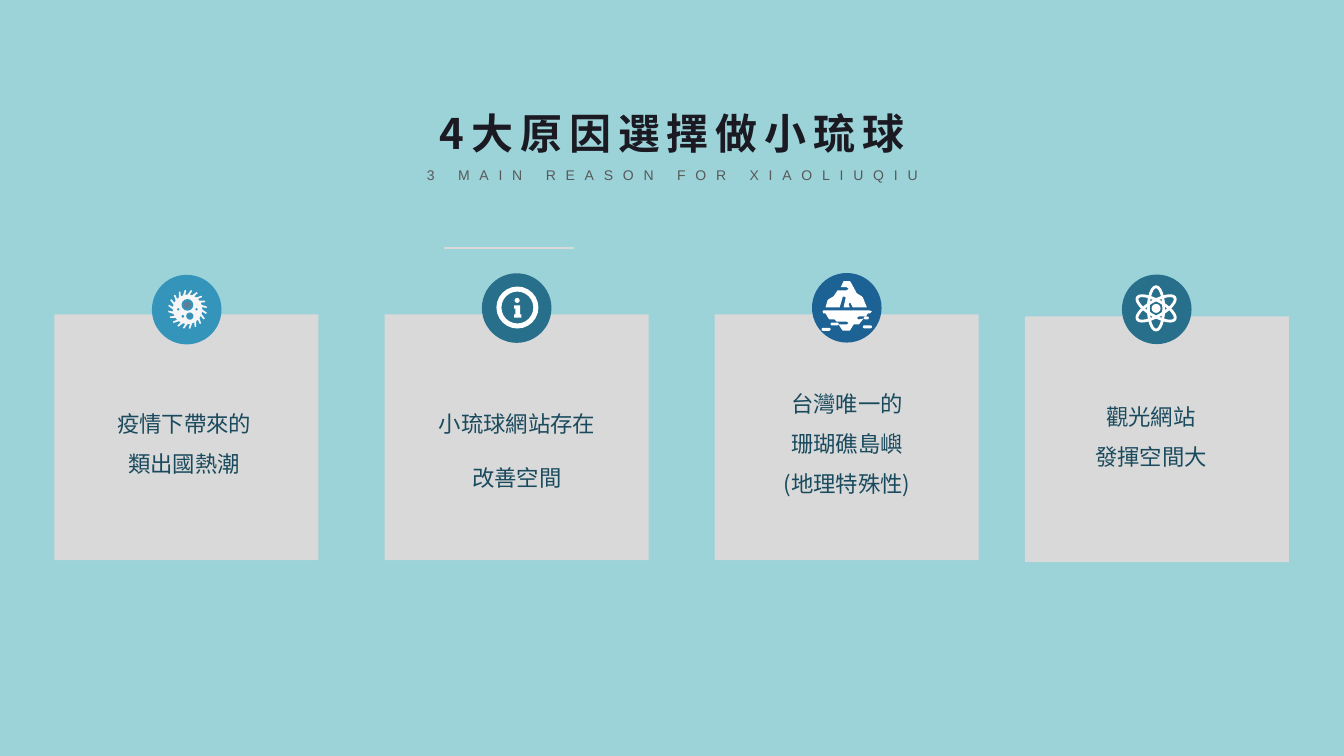
"""Build the slide giving four reasons for choosing Xiaoliuqiu."""
from math import cos, radians, sin

from lxml import etree
from pptx import Presentation
from pptx import util as u
from pptx.dml.color import RGBColor
from pptx.enum import shapes, text
from pptx.oxml import ns

Pt = u.Pt
KIND = shapes.MSO_SHAPE
CJK = "Noto Sans CJK SC"

presentation = Presentation()
presentation.slide_width, presentation.slide_height = Pt(960), Pt(540)
slide = presentation.slides.add_slide(presentation.slide_layouts[0])
slide.background.fill.solid()
slide.background.fill.fore_color.rgb = RGBColor.from_string("9BD3D9")


def draw(kind, box, color):
    """Add a plain filled shape; kind is a preset or a list of outline points."""
    if isinstance(kind, list):
        points = [(Pt(x), Pt(y)) for x, y in kind]
        builder = slide.shapes.build_freeform(*points[0])
        builder.add_line_segments(points[1:], close=True)
        shape = builder.convert_to_shape()
    else:
        shape = slide.shapes.add_shape(kind, *[Pt(value) for value in box])
    shape.shadow.inherit = False
    shape.line.fill.background()
    shape.fill.solid()
    shape.fill.fore_color.rgb = RGBColor.from_string(color)
    return shape


def write(shape, box, words, size, font, color, bold=False, tracking=0, spacing=1.0):
    """Place a text shape and fill it with centred, formatted text."""
    shape.left, shape.top, shape.width, shape.height = [Pt(value) for value in box]
    frame = shape.text_frame
    frame.text = words
    frame.word_wrap = True
    frame.auto_size = text.MSO_AUTO_SIZE.NONE
    frame.vertical_anchor = text.MSO_ANCHOR.MIDDLE
    frame.margin_left = frame.margin_right = frame.margin_top = frame.margin_bottom = 0
    for paragraph in frame.paragraphs:
        paragraph.alignment = text.PP_ALIGN.CENTER
        paragraph.line_spacing = spacing
        paragraph.space_before = Pt(0)
        for run in paragraph.runs:
            run.font.size, run.font.name, run.font.bold = Pt(size), font, bold
            run.font.color.rgb = RGBColor.from_string(color)
            properties = run._r.get_or_add_rPr()
            properties.set("spc", str(tracking * 100))
            east_asian = etree.Element(ns.qn("a:ea"), typeface=font)
            properties.find(ns.qn("a:latin")).addnext(east_asian)


title, subtitle = slide.placeholders
write(title, (256.3, 72.7, 447.8, 43.9), "4大原因選擇做小琉球", 30, CJK, "1B1A22", True, 5)
write(subtitle, (213.1, 115.2, 534.2, 19.4), "3 MAIN REASON FOR XIAOLIUQIU", 10, "Arial", "595959",
      tracking=7)

divider = slide.shapes.add_connector(shapes.MSO_CONNECTOR.STRAIGHT, Pt(316.8), Pt(177.1), Pt(409.7), Pt(177.1))
divider.line.color.rgb = RGBColor.from_string("D9D9D9")
divider.line.width = Pt(2)
etree.SubElement(divider._element.spPr, ns.qn("a:effectLst"))

reasons = [
    ((38.9, 224.6), (108.5, 196.3), "3494BA", (83.3, 267.1, 96.5), 1.5, "疫情下帶來的類出國熱潮"),
    ((274.7, 224.6), (344.2, 195.2), "276F8B", (306, 267.1, 126.7), 2.0, "小琉球網站存在改善空間"),
    ((510.5, 224.6), (580, 195), "1D6294", (559.4, 267.1, 91.4), 1.5, "台灣唯一的珊瑚礁島嶼(地理特殊性)"),
    ((732, 226), (801.4, 196.1), "276F8B", (764.6, 262.1, 115.2), 1.5, "觀光網站\n發揮空間大"),
]
for card, badge, color, label, spacing, words in reasons:
    draw(KIND.RECTANGLE, (*card, 188.6, 175.5), "D9D9D9")
    draw(KIND.OVAL, (*badge, 49.7, 49.7), color)
    textbox = slide.shapes.add_textbox(0, 0, 0, 0)
    write(textbox, (*label, 90), words, 16, CJK, "1A4A5D", spacing=spacing)

virus = []
for spike in range(20):
    for turn, radius in ((0, 10.5), (10, 14), (14, 13.6), (9, 10.5)):
        angle = radians(spike * 18 + turn)
        virus.append((134 + radius * cos(angle), 221 + radius * sin(angle)))
draw(virus, None, "F6F6F8")
for x, y, diameter, color in [
    (133.9, 217.8, 8.4, "3494BA"), (133.9, 217.8, 5, "5F7D95"),
    (135.6, 225.8, 5.2, "3494BA"), (135.6, 225.8, 1.6, "5F7D95"),
    (127.4, 221, 1.6, "3494BA"), (140.4, 221, 1.6, "3494BA"), (130.6, 226, 1.8, "3494BA"),
]:
    draw(KIND.OVAL, (x - diameter / 2, y - diameter / 2, diameter, diameter), color)

ring = draw(KIND.DONUT, (354.6, 204.7, 30, 30), "FFFFFF")
ring.adjustments[0] = 0.12
draw(KIND.OVAL, (367.6, 212.8, 3.6, 3.6), "FFFFFF")
draw([(367.2, 218.2), (371.5, 218.2), (371.5, 224.6), (372.4, 224.6), (372.4, 226.8), (367.2, 226.8),
      (367.2, 224.6), (368.2, 224.6), (368.2, 220.4), (367.2, 220.4)], None, "FFFFFF")

draw([(602.6, 200.9), (600.5, 205.2), (604.8, 205.2), (606.2, 206.3), (604.8, 207.4), (598.3, 207.4),
      (595.4, 211.7), (591.8, 213.8), (591.1, 214.6), (589.7, 219.6), (599.8, 219.6), (601.9, 212.4),
      (602.6, 211.7), (604.1, 212.4), (602.6, 219.6), (607, 219.6), (606.2, 217.4), (607, 216),
      (607.7, 216.7), (609.1, 219.6), (619.2, 219.6), (616.3, 212.4), (615.6, 211.7), (612, 209.5),
      (607.7, 201.6), (607, 200.9)], None, "FFFFFF")
draw([(588.2, 221.8), (587.5, 222.5), (588.2, 223.9), (589.7, 223.9), (591.8, 227.5), (592.6, 228.2),
      (596.2, 228.2), (597.6, 229.7), (604.8, 229.7), (606.2, 230.8), (604.8, 231.8), (599, 231.8),
      (601.9, 236.2), (607, 236.2), (609.8, 231.8), (613.4, 231.8), (617, 227.5), (613.4, 228.2),
      (612, 227.2), (613.4, 226.1), (618.5, 226.1), (619.9, 223.9), (621.4, 223.9), (622.8, 222.5),
      (621.4, 221.8)], None, "FFFFFF")
for x, y, width in ((593.3, 230.4, 5.8), (617, 226.1, 3.6), (616.3, 232.4, 6.5), (586.8, 234.2, 6.5)):
    wave = draw(KIND.ROUNDED_RECTANGLE, (x, y, width, 2.1), "FFFFFF")
    wave.adjustments[0] = 0.5

for rotation in (0, 60, 120):
    orbit = draw(KIND.OVAL, (820.3, 204.8, 11, 31), "FFFFFF")
    orbit.fill.background()
    orbit.line.color.rgb = RGBColor.from_string("FFFFFF")
    orbit.line.width = Pt(2)
    orbit.rotation = rotation
draw(KIND.OVAL, (822.6, 217.1, 6.4, 6.4), "FFFFFF")

presentation.save("out.pptx")
